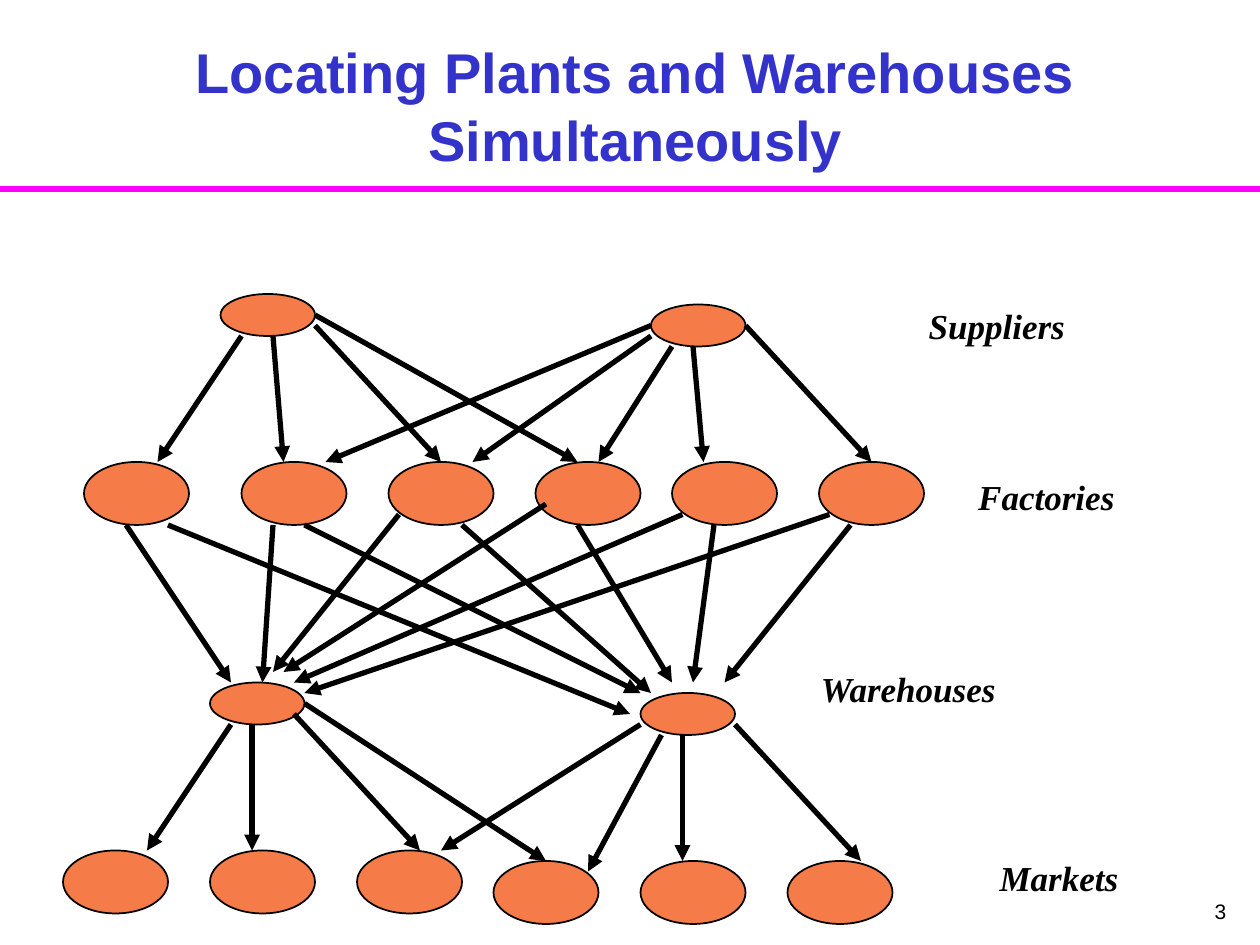
"""Build a slide showing a supply network from suppliers to markets."""
from dataclasses import dataclass

from lxml import etree
from pptx import Presentation
from pptx import util as u
from pptx.dml.color import RGBColor
from pptx.enum import shapes, text
from pptx.oxml.ns import qn


@dataclass(frozen=True)
class Theme:
    title_color: RGBColor = RGBColor(0x33, 0x33, 0xCC)
    rule_color: RGBColor = RGBColor(0xFF, 0x00, 0xFF)
    node_color: RGBColor = RGBColor(0xF5, 0x7B, 0x49)
    ink: RGBColor = RGBColor(0x00, 0x00, 0x00)
    title_size: u.Pt = u.Pt(32)
    label_size: u.Pt = u.Pt(20)
    number_size: u.Pt = u.Pt(12)
    sans: str = "Arial"
    serif: str = "Times New Roman"


theme = Theme()
GRID_CM = 2.54 / 12


def add_line(slide, ends, color, width, arrow=False):
    """Draw a straight line between two grid points."""
    connector = slide.shapes.add_connector(
        shapes.MSO_CONNECTOR.STRAIGHT, *[u.Cm(end * GRID_CM) for end in ends]
    )
    connector.line.color.rgb = color
    connector.line.width = u.Pt(width)
    if arrow:
        etree.SubElement(connector.get_or_add_ln(), qn("a:tailEnd"), type="triangle")
    etree.SubElement(connector.element.spPr, qn("a:effectLst"))


def add_text(slide, words, box, font_name, size, align=text.PP_ALIGN.LEFT, strong=False):
    """Place one line of text in a box given in centimetres."""
    frame = slide.shapes.add_textbox(*[u.Cm(length) for length in box]).text_frame
    frame.word_wrap = True
    frame.text = words
    paragraph = frame.paragraphs[0]
    paragraph.alignment = align
    paragraph.font.name = font_name
    paragraph.font.size = size
    paragraph.font.bold = paragraph.font.italic = strong
    paragraph.font.color.rgb = theme.ink


presentation = Presentation()
presentation.slide_width = u.Cm(25.4)
presentation.slide_height = u.Cm(19.05)
slide = presentation.slides.add_slide(presentation.slide_layouts[5])

add_line(slide, (0, 18, 120, 18), theme.rule_color, 4)

title = slide.shapes.title
title.left, title.top = u.Cm(1.06), u.Cm(0.74)
title.width, title.height = u.Cm(23.5), u.Cm(2.86)
title.text_frame.text = "Locating Plants and Warehouses Simultaneously"
title.text_frame.word_wrap = True
title.text_frame.auto_size = text.MSO_AUTO_SIZE.NONE
title.text_frame.vertical_anchor = text.MSO_ANCHOR.BOTTOM
paragraph = title.text_frame.paragraphs[0]
paragraph.alignment = text.PP_ALIGN.CENTER
paragraph.font.name = theme.sans
paragraph.font.size = theme.title_size
paragraph.font.bold = True
paragraph.font.color.rgb = theme.title_color

SMALL, LARGE = (9, 4), (10, 6)
tiers = {
    "suppliers": (SMALL, [(21, 28), (62, 29)]),
    "factories": (LARGE, [(left, 44) for left in (8, 23, 37, 51, 64, 78)]),
    "warehouses": (SMALL, [(20, 65), (61, 66)]),
    "markets": (LARGE, [(6, 81), (20, 81), (34, 81), (47, 82), (61, 82), (75, 82)]),
}
for size, corners in tiers.values():
    for corner in corners:
        node = slide.shapes.add_shape(
            shapes.MSO_SHAPE.OVAL, *[u.Cm(n * GRID_CM) for n in corner + size]
        )
        node.shadow.inherit = False
        node.fill.solid()
        node.fill.fore_color.rgb = theme.node_color
        node.line.color.rgb = theme.ink
        node.line.width = u.Pt(1)

flows = {
    "suppliers to factories": [
        (23, 32, 15, 44), (26, 32, 27, 44), (30, 31, 42, 44), (30, 30, 55, 44),
        (62, 31, 31, 44), (62, 32, 45, 44), (64, 33, 57, 44), (66, 33, 67, 44),
        (71, 31, 83, 44),
    ],
    "factories to first warehouse": [
        (12, 50, 22, 65), (26, 50, 25, 65), (38, 49, 26, 64), (52, 48, 27, 64),
        (65, 49, 28, 65), (79, 49, 29, 66),
    ],
    "factories to second warehouse": [
        (16, 50, 60, 68), (29, 50, 61, 66), (44, 50, 62, 66), (55, 50, 64, 65),
        (68, 50, 66, 65), (81, 50, 69, 65),
    ],
    "warehouses to markets": [
        (22, 69, 14, 81), (24, 69, 24, 81), (28, 68, 40, 81), (29, 67, 52, 82),
        (61, 69, 42, 81), (63, 70, 56, 83), (65, 70, 65, 82), (70, 69, 82, 82),
    ],
}
for arrows in flows.values():
    for ends in arrows:
        add_line(slide, ends, theme.ink, 3, arrow=True)

labels = [
    ("Suppliers", (18.47, 6.02, 3.6, 1.1)),
    ("Factories", (19.47, 9.47, 4.66, 1.1)),
    ("Warehouses", (16.3, 13.33, 7.62, 1.1)),
    ("Markets", (19.9, 17.14, 4.66, 1.1)),
]
for words, box in labels:
    add_text(slide, words, box, theme.serif, theme.label_size, strong=True)

add_text(slide, "3", (19.69, 17.99, 5.28, 1.06), theme.sans, theme.number_size,
         align=text.PP_ALIGN.RIGHT)

presentation.save("out.pptx")
